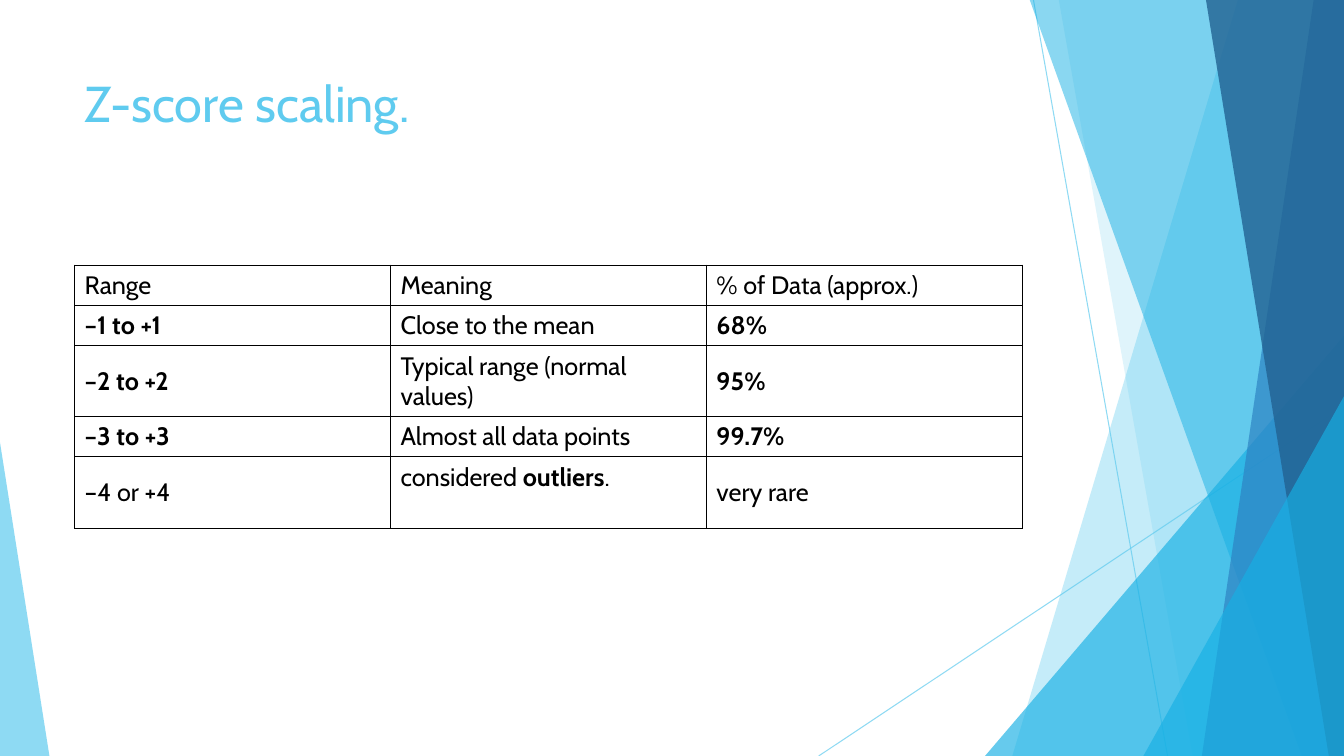
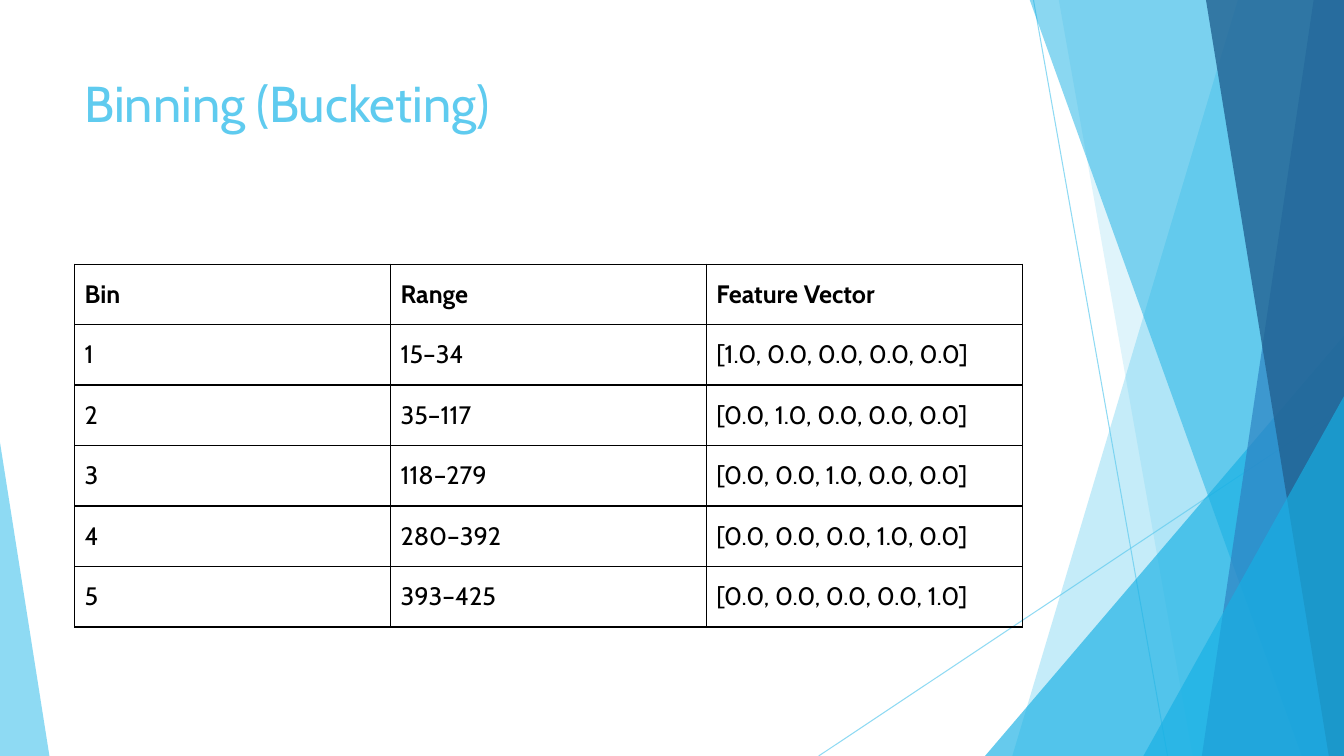
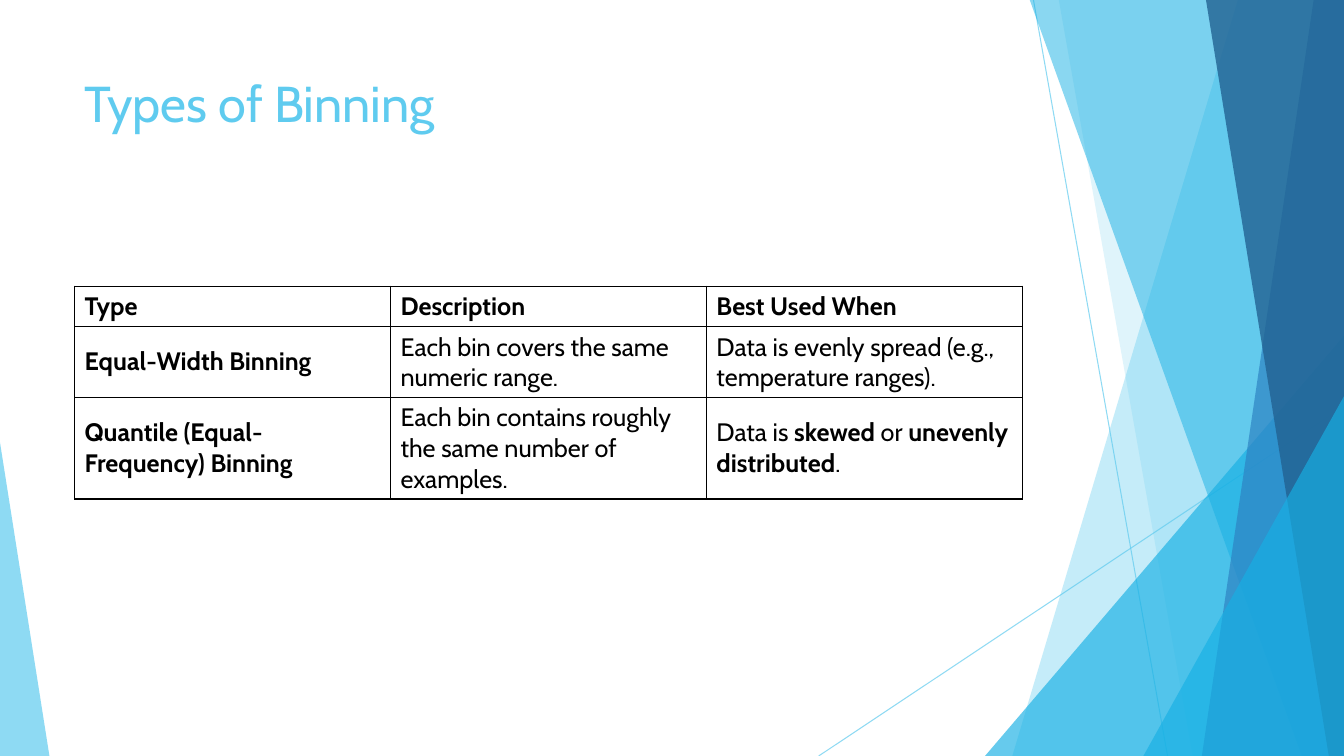
"""Build three slides of tables on data scaling and binning, over a faceted blue backdrop."""
from dataclasses import dataclass

from pptx import Presentation
from pptx.dml.color import RGBColor
from pptx.enum.shapes import MSO_CONNECTOR, MSO_SHAPE
from pptx.enum.text import MSO_ANCHOR as Anchor
from pptx.oxml.ns import qn
from pptx.shapes.base import BaseShape
from pptx.slide import Slide
from pptx.table import _Cell as Cell
from pptx.text.text import Font
from pptx.util import Inches, Pt
from lxml.etree import SubElement

SKY = RGBColor(0x5F, 0xCB, 0xEF)
CYAN = RGBColor(0x17, 0xB0, 0xE4)
BLUE = RGBColor(0x2E, 0x83, 0xC3)
NAVY = RGBColor(0x22, 0x62, 0x92)
BLACK = RGBColor(0, 0, 0)
FONT = "Cabin"
SLIDE_WIDTH, SLIDE_HEIGHT = 13.33, 7.5
CONTENT_LEFT, CONTENT_WIDTH = 0.74, 9.4
PANEL_TOP = -0.01
BOLD_MARK = "**"


@dataclass(frozen=True)
class Ray:
    start: tuple[float, float]
    end: tuple[float, float]


@dataclass(frozen=True)
class Panel:
    """A facet from a slanted left edge to the right side of the slide."""
    top_left: float
    bottom_left: float
    color: RGBColor
    opacity: int


@dataclass(frozen=True)
class Wedge:
    """A right triangle standing on the bottom of the slide."""
    left: float
    top: float
    width: float
    apex: float
    color: RGBColor
    opacity: int


@dataclass(frozen=True)
class TableSlide:
    title: str
    top: float
    row_heights: list[float]
    rows: list[list[str]]
    top_anchored: tuple[tuple[int, int], ...] = ()


RAYS = [Ray((10.25, 0), (11.58, 7.5)), Ray((13.33, 4.03), (8.12, 7.5))]

FACETS = [
    Panel(12.28, 10.04, SKY, 36),
    Panel(10.5, 11.83, SKY, 20),
    Wedge(9.77, 3.33, 3.56, 1, CYAN, 66),
    Panel(10.21, 12.91, CYAN, 50),
    Panel(13.03, 11.92, BLUE, 70),
    Panel(11.96, 13.18, NAVY, 80),
    Wedge(11.34, 3.93, 1.99, 1, CYAN, 66),
    Wedge(0, 4.39, 0.49, 0, SKY, 70),
]

BIN_RANGES = ["15–34", "35–117", "118–279", "280–392", "393–425"]


def one_hot(position: int, length: int) -> str:
    values = ("1.0" if index == position else "0.0" for index in range(length))
    return f"[{', '.join(values)}]"


TABLE_SLIDES = [
    TableSlide("Z-score scaling.", 2.63, [0.4, 0.4, 0.7, 0.4, 0.71], [
        ["Range", "Meaning", "% of Data (approx.)"],
        ["**–1 to +1**", "Close to the mean", "**68%**"],
        ["**–2 to +2**", "Typical range (normal values)", "**95%**"],
        ["**–3 to +3**", "Almost all data points", "**99.7%**"],
        ["–4 or +4", "considered **outliers**.", "very rare"],
    ], top_anchored=((4, 1),)),
    TableSlide("Binning (Bucketing)", 2.62, [0.6] * 6, [
        ["**Bin**", "**Range**", "**Feature Vector**"],
        *([str(index + 1), bin_range, one_hot(index, len(BIN_RANGES))]
          for index, bin_range in enumerate(BIN_RANGES)),
    ]),
    TableSlide("Types of Binning", 2.84, [0.4, 0.7, 1.01], [
        ["**Type**", "**Description**", "**Best Used When**"],
        ["**Equal-Width Binning**", "Each bin covers the same numeric range.",
         "Data is evenly spread (e.g., temperature ranges)."],
        ["**Quantile (Equal-Frequency) Binning**",
         "Each bin contains roughly the same number of examples.",
         "Data is **skewed** or **unevenly distributed**."],
    ]),
]


def set_opacity(shape: BaseShape, percent: int) -> None:
    for color in shape.element.iter(qn("a:srgbClr")):
        SubElement(color, qn("a:alpha"), val=str(percent * 1000))


def set_font(font: Font, size: int, color: RGBColor) -> None:
    font.name = FONT
    font.size = Pt(size)
    font.color.rgb = color


def draw_ray(slide: Slide, ray: Ray) -> None:
    points = [Inches(value) for value in (*ray.start, *ray.end)]
    connector = slide.shapes.add_connector(MSO_CONNECTOR.STRAIGHT, *points)
    connector.line.color.rgb = SKY
    connector.line.width = Pt(0.75)
    set_opacity(connector, 70)
    SubElement(connector.element.spPr, qn("a:effectLst"))


def draw_facet(slide: Slide, facet: Panel | Wedge) -> None:
    if isinstance(facet, Panel):
        builder = slide.shapes.build_freeform(Inches(facet.top_left), Inches(PANEL_TOP))
        corners = [(SLIDE_WIDTH, PANEL_TOP), (SLIDE_WIDTH, SLIDE_HEIGHT),
                   (facet.bottom_left, SLIDE_HEIGHT)]
        builder.add_line_segments([(Inches(x), Inches(y)) for x, y in corners], close=True)
        shape = builder.convert_to_shape()
    else:
        shape = slide.shapes.add_shape(
            MSO_SHAPE.ISOSCELES_TRIANGLE, Inches(facet.left), Inches(facet.top),
            Inches(facet.width), Inches(SLIDE_HEIGHT - facet.top))
        shape.adjustments[0] = facet.apex
    shape.shadow.inherit = False
    shape.fill.solid()
    shape.fill.fore_color.rgb = facet.color
    shape.line.fill.background()
    set_opacity(shape, facet.opacity)


def draw_title(slide: Slide, title: str) -> None:
    box = slide.shapes.add_textbox(
        Inches(CONTENT_LEFT), Inches(0.67), Inches(CONTENT_WIDTH), Inches(1.44))
    box.text_frame.word_wrap = True
    paragraph = box.text_frame.paragraphs[0]
    paragraph.text = title
    set_font(paragraph.font, 36, SKY)


def set_borders(cell: Cell) -> None:
    properties = cell._tc.get_or_add_tcPr()
    for side in ("lnL", "lnR", "lnT", "lnB"):
        border = SubElement(properties, qn(f"a:{side}"), w=str(Pt(1)))
        fill = SubElement(border, qn("a:solidFill"))
        SubElement(fill, qn("a:srgbClr"), val=str(BLACK))


def fill_cell(cell: Cell, text: str, anchor: Anchor) -> None:
    set_borders(cell)
    cell.fill.background()
    cell.vertical_anchor = anchor
    paragraph = cell.text_frame.paragraphs[0]
    set_font(paragraph.font, 18, BLACK)
    for index, part in enumerate(text.split(BOLD_MARK)):
        if part:
            run = paragraph.add_run()
            run.text = part
            run.font.bold = index % 2 == 1


def draw_table(slide: Slide, content: TableSlide) -> None:
    frame = slide.shapes.add_table(
        len(content.rows), len(content.rows[0]), Inches(CONTENT_LEFT), Inches(content.top),
        Inches(CONTENT_WIDTH), Inches(sum(content.row_heights)))
    table = frame.table
    table.first_row = False
    table.horz_banding = False
    for row, height in zip(table.rows, content.row_heights):
        row.height = Inches(height)
    for row_index, texts in enumerate(content.rows):
        for column_index, text in enumerate(texts):
            at_top = (row_index, column_index) in content.top_anchored
            fill_cell(table.cell(row_index, column_index), text,
                      Anchor.TOP if at_top else Anchor.MIDDLE)


def main() -> None:
    presentation = Presentation()
    presentation.slide_width = Inches(SLIDE_WIDTH)
    presentation.slide_height = Inches(SLIDE_HEIGHT)
    for content in TABLE_SLIDES:
        slide = presentation.slides.add_slide(presentation.slide_layouts[6])
        for ray in RAYS:
            draw_ray(slide, ray)
        for facet in FACETS:
            draw_facet(slide, facet)
        draw_title(slide, content.title)
        draw_table(slide, content)
    presentation.save("out.pptx")


if __name__ == "__main__":
    main()
